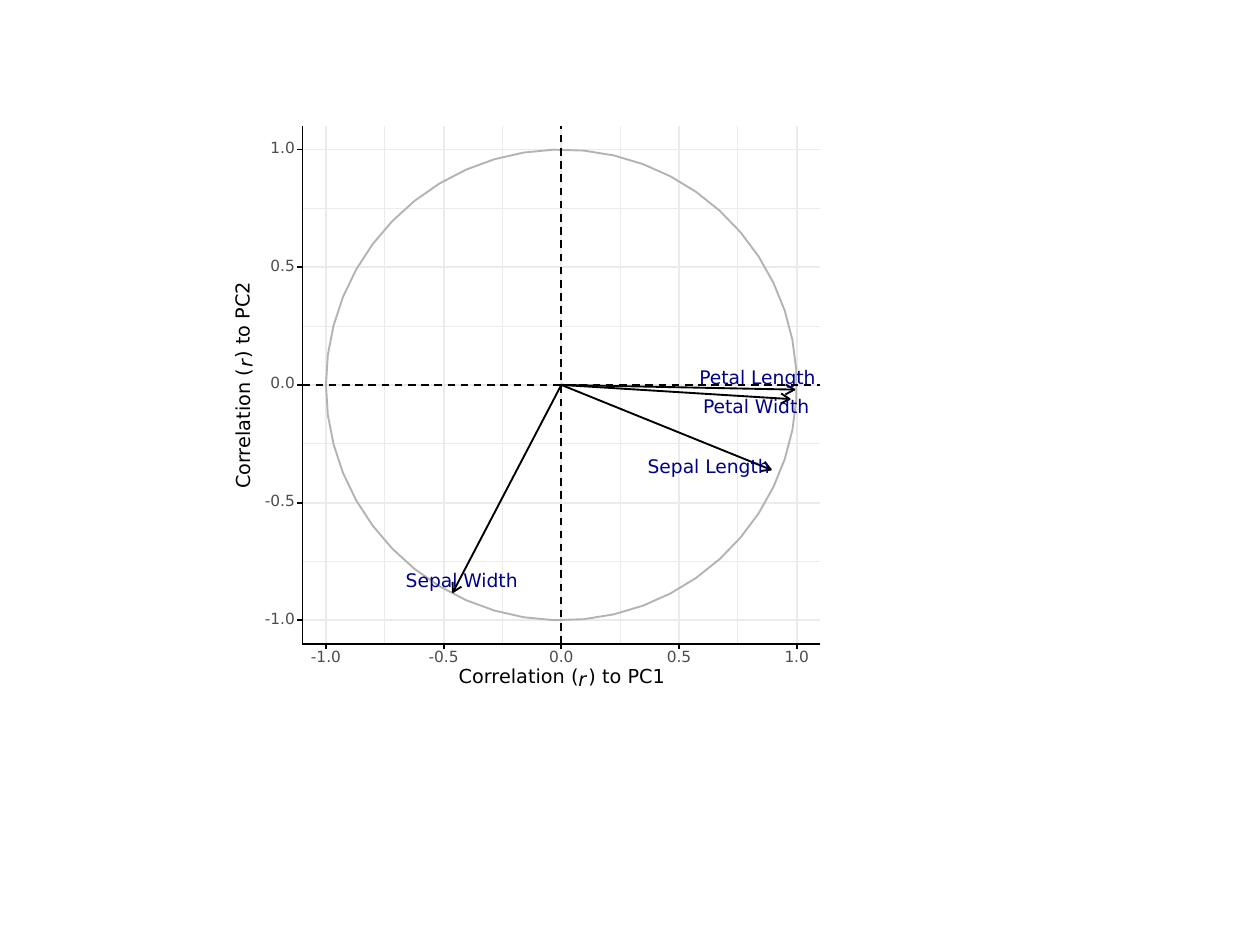
from math import atan2, cos, pi, radians, sin

from lxml.etree import SubElement
from pptx import Presentation
from pptx.dml.color import RGBColor
from pptx.enum.dml import MSO_LINE_DASH_STYLE as DASH
from pptx.enum.shapes import MSO_CONNECTOR, MSO_SHAPE
from pptx.enum.text import MSO_ANCHOR, PP_ALIGN
from pptx.oxml.ns import qn
from pptx.util import Inches, Pt

COLORS = {
    "background": "FFFFFF",
    "grid": "EBEBEB",
    "circle": "B3B3B3",
    "axis": "000000",
    "tick": "4D4D4D",
    "variable": "00008B",
}
FONT = "DejaVu Sans"

# Plot panel, in inches; both axes run from -1.1 to 1.1
LEFT, TOP, SIDE = 2.4, 1, 4.11
RIGHT, BOTTOM = LEFT + SIDE, TOP + SIDE
CENTER_X, CENTER_Y = LEFT + SIDE / 2, TOP + SIDE / 2
UNIT = SIDE / 2.2
TICK_LENGTH = 0.04
HEAD_LENGTH, HEAD_ANGLE = 0.08, radians(30)

MAJOR = (-1, -0.5, 0, 0.5, 1)
MINOR = (-0.75, -0.25, 0.25, 0.75)

# Name, correlations to PC1 and PC2, label box
VARIABLES = (
    ("Sepal Length", 0.89, -0.36, (5.14, 3.64, 0.97, 0.14)),
    ("Sepal Width", -0.46, -0.88, (3.22, 4.55, 0.89, 0.14)),
    ("Petal Length", 0.99, -0.02, (5.55, 2.94, 0.93, 0.14)),
    ("Petal Width", 0.97, -0.06, (5.58, 3.18, 0.85, 0.11)),
)

# Text, box, rotation, italic
AXIS_TITLES = (
    ("Correlation (", (3.64, 5.31, 0.96, 0.14), 0, False),
    ("r", (4.59, 5.36, 0.06, 0.09), 0, True),
    (") to PC1", (4.67, 5.31, 0.61, 0.14), 0, False),
    ("Correlation (", (1.46, 3.33, 0.96, 0.14), 270, False),
    ("r", (1.93, 2.84, 0.06, 0.09), 270, True),
    (") to PC2", (1.63, 2.47, 0.61, 0.14), 270, False),
)


def rgb(name):
    return RGBColor.from_string(COLORS[name])


def to_x(value):
    return CENTER_X + UNIT * value


def to_y(value):
    return CENTER_Y - UNIT * value


def add_line(slide, start, end, color="axis", width=1.07, dash=None):
    ends = [Inches(v) for v in (*start, *end)]
    line = slide.shapes.add_connector(MSO_CONNECTOR.STRAIGHT, *ends)
    line.line.color.rgb = rgb(color)
    line.line.width = Pt(width)
    if dash:
        line.line.dash_style = dash
    SubElement(line._element.spPr, qn("a:effectLst"))


def add_outline(slide, points, color, close):
    points = [(Inches(x), Inches(y)) for x, y in points]
    builder = slide.shapes.build_freeform(*points[0])
    builder.add_line_segments(points[1:], close=close)
    sp = builder.convert_to_shape()
    sp.shadow.inherit = False
    sp.fill.background()
    sp.line.color.rgb = rgb(color)
    sp.line.width = Pt(1.07)


def add_text(slide, text, box, size, color, align=PP_ALIGN.LEFT,
             rotation=0, italic=False):
    sp = slide.shapes.add_textbox(*[Inches(v) for v in box])
    sp.rotation = rotation
    tf = sp.text_frame
    tf.word_wrap = False
    tf.vertical_anchor = MSO_ANCHOR.MIDDLE
    tf.margin_left = tf.margin_right = tf.margin_top = tf.margin_bottom = 0
    tf.text = text
    p = tf.paragraphs[0]
    p.alignment = align
    p.line_spacing = Pt(size)
    font = p.runs[0].font
    font.name = FONT
    font.size = Pt(size)
    font.italic = italic
    font.color.rgb = rgb(color)


def add_background(slide):
    sp = slide.shapes.add_shape(
        MSO_SHAPE.RECTANGLE, Inches(1), Inches(1), Inches(6.4), Inches(4.5))
    sp.shadow.inherit = False
    sp.fill.solid()
    sp.fill.fore_color.rgb = rgb("background")
    sp.line.color.rgb = rgb("background")
    sp.line.width = Pt(0.75)


def add_cross_lines(slide, values, **style):
    for value in values:
        add_line(slide, (LEFT, to_y(value)), (RIGHT, to_y(value)), **style)
    for value in values:
        add_line(slide, (to_x(value), BOTTOM), (to_x(value), TOP), **style)


def add_unit_circle(slide, segments=49):
    angles = [pi + 2 * pi * i / segments for i in range(segments)]
    points = [(to_x(cos(a)), to_y(sin(a))) for a in angles]
    add_outline(slide, points, "circle", close=True)


def add_arrow(slide, pc1, pc2):
    x, y = to_x(pc1), to_y(pc2)
    add_line(slide, (CENTER_X, CENTER_Y), (x, y))
    direction = atan2(y - CENTER_Y, x - CENTER_X)
    barbs = [(x - HEAD_LENGTH * cos(direction + turn),
              y - HEAD_LENGTH * sin(direction + turn))
             for turn in (-HEAD_ANGLE, HEAD_ANGLE)]
    add_outline(slide, (barbs[0], (x, y), barbs[1]), "axis", close=False)


def add_variables(slide):
    for _, pc1, pc2, _ in VARIABLES:
        add_arrow(slide, pc1, pc2)
    for name, _, _, box in VARIABLES:
        add_text(slide, name, box, 10.7, "variable")


def add_axes(slide):
    add_line(slide, (LEFT, BOTTOM), (LEFT, TOP), width=0.85)
    add_line(slide, (LEFT, BOTTOM), (RIGHT, BOTTOM), width=0.85)
    for value in MAJOR:
        x, y = to_x(value), to_y(value)
        label = f"{value:.1f}"
        width = 0.25 if value < 0 else 0.21
        add_line(slide, (LEFT - TICK_LENGTH, y), (LEFT, y))
        add_line(slide, (x, BOTTOM + TICK_LENGTH), (x, BOTTOM))
        add_text(slide, label, (2.34 - width, y - 0.05, width, 0.09),
                 8.8, "tick", PP_ALIGN.RIGHT)
        add_text(slide, label, (x - width / 2, 5.18, width, 0.09),
                 8.8, "tick", PP_ALIGN.CENTER)
    for text, box, rotation, italic in AXIS_TITLES:
        add_text(slide, text, box, 11, "axis", rotation=rotation, italic=italic)


def main():
    prs = Presentation()
    prs.slide_width, prs.slide_height = Inches(10), Inches(7.5)
    blank = prs.slide_layouts[6]
    slide = prs.slides.add_slide(blank)

    # Panel and grid
    add_background(slide)
    add_cross_lines(slide, MINOR, color="grid", width=0.53)
    add_cross_lines(slide, MAJOR, color="grid")

    # Correlation circle
    add_unit_circle(slide)
    add_variables(slide)

    # Zero lines and axes
    add_cross_lines(slide, (0,), dash=DASH.DASH)
    add_axes(slide)

    prs.save("out.pptx")


if __name__ == "__main__":
    main()
